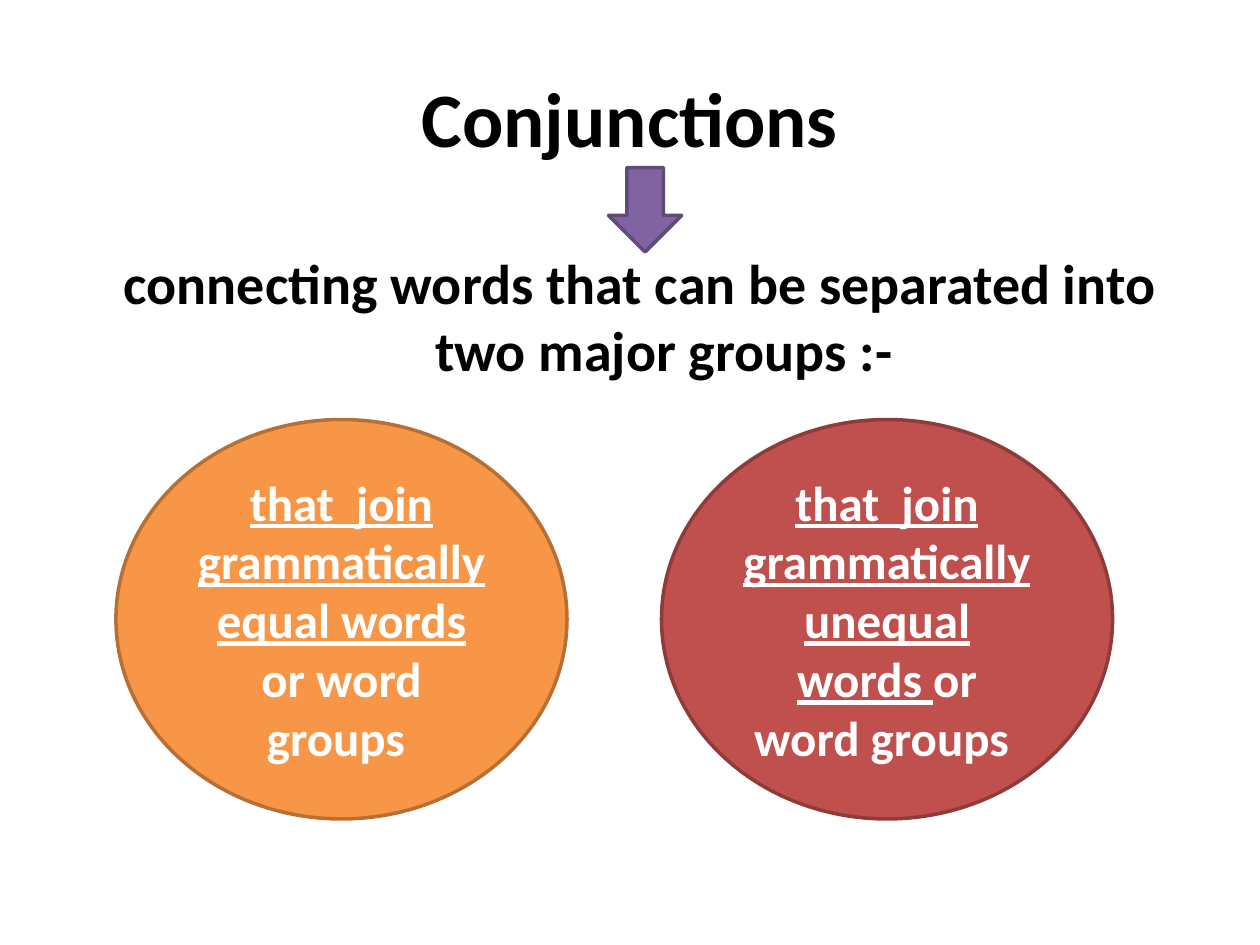
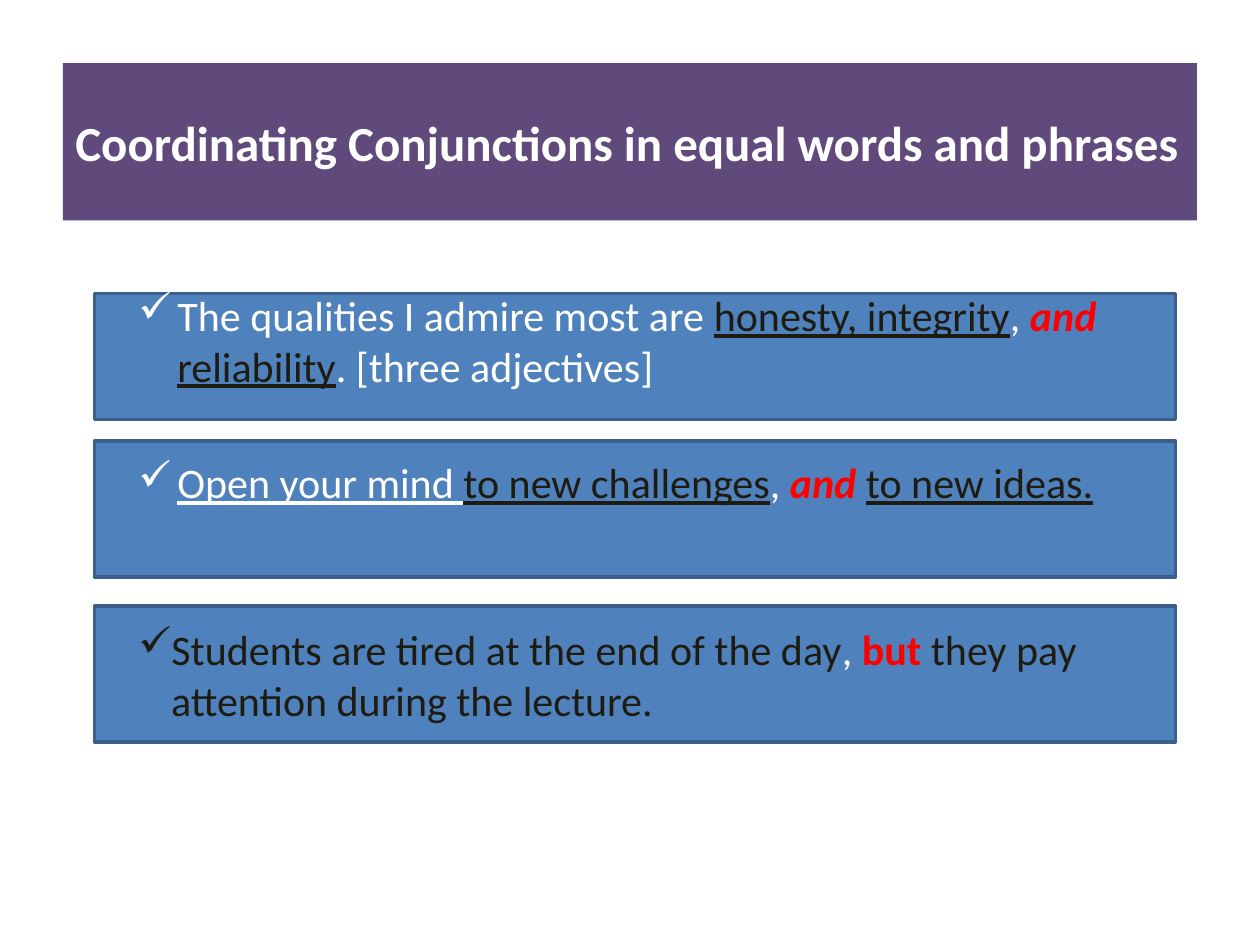
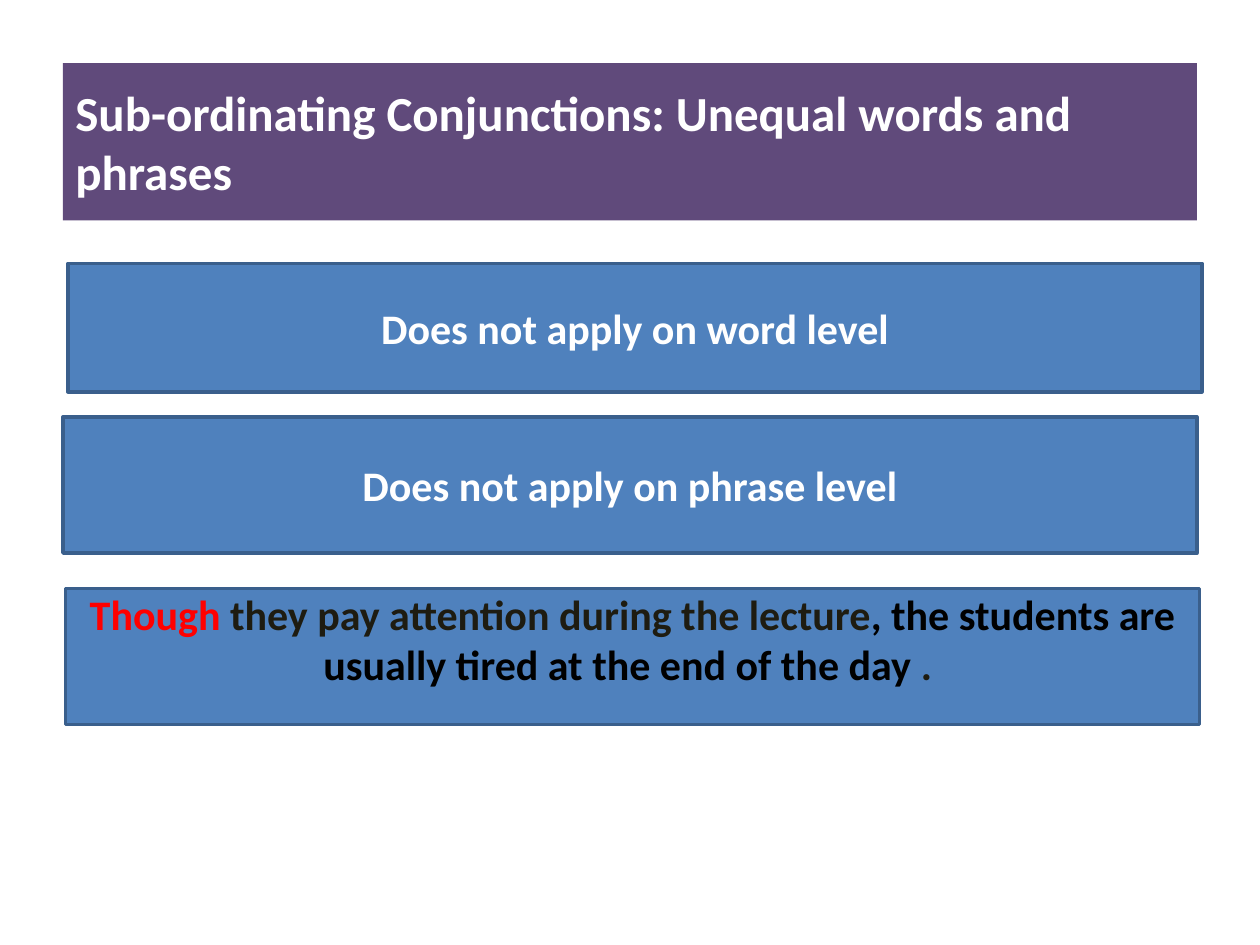
from dataclasses import dataclass

from lxml import etree
from pptx import Presentation
from pptx.dml.color import RGBColor
from pptx.enum.shapes import MSO_SHAPE
from pptx.enum.text import MSO_ANCHOR, PP_ALIGN
from pptx.oxml.ns import qn
from pptx.util import Emu, Pt

RECTANGLE, OVAL, DOWN_ARROW = MSO_SHAPE.RECTANGLE, MSO_SHAPE.OVAL, MSO_SHAPE.DOWN_ARROW
LEFT, CENTER = PP_ALIGN.LEFT, PP_ALIGN.CENTER
TOP, MIDDLE = MSO_ANCHOR.TOP, MSO_ANCHOR.MIDDLE

EMU_PER_PX = 9144
FONT = "Calibri"
WHITE, BLACK, RED, DARK = "FFFFFF", "000000", "FF0000", "1E1C11"
BANNER, BLUE, BLUE_EDGE = "604A7B", "4F81BD", "3A5F8C"
CHECK = "✓"


@dataclass(frozen=True)
class Area:
    left: int
    top: int
    width: int
    height: int


@dataclass(frozen=True)
class Span:
    text: str
    color: str = WHITE
    bold: bool = False
    italic: bool = False
    underline: bool = False


@dataclass(frozen=True)
class Para:
    spans: tuple[Span, ...]
    size: int
    align: PP_ALIGN = LEFT
    margin: int = 0
    indent: int = 0
    bullet: str = ""
    space_before: int = 0


@dataclass(frozen=True)
class Panel:
    area: Area
    fill: str = BLUE
    edge: str = BLUE_EDGE
    kind: MSO_SHAPE = RECTANGLE
    paras: tuple[Para, ...] = ()
    anchor: MSO_ANCHOR = MIDDLE
    inset_top: int = 5


def px(length: int) -> Emu:
    return Emu(length * EMU_PER_PX)


def place(area: Area) -> tuple[Emu, ...]:
    return px(area.left), px(area.top), px(area.width), px(area.height)


def rgb(color: str) -> RGBColor:
    return RGBColor.from_string(color)


def write(frame, paras: tuple[Para, ...], anchor: MSO_ANCHOR) -> None:
    frame.word_wrap = True
    frame.vertical_anchor = anchor
    for index, para in enumerate(paras):
        paragraph = frame.add_paragraph() if index else frame.paragraphs[0]
        paragraph.alignment = para.align
        paragraph.space_before = Pt(para.space_before)
        properties = paragraph._p.get_or_add_pPr()
        properties.set("marL", str(px(para.margin)))
        properties.set("indent", str(px(para.indent)))
        if para.bullet:
            etree.SubElement(properties, qn("a:buChar"), char=para.bullet)
        for span in para.spans:
            run = paragraph.add_run()
            run.text = span.text
            run.font.name = FONT
            run.font.size = Pt(para.size)
            run.font.color.rgb = rgb(span.color)
            run.font.bold = span.bold
            run.font.italic = span.italic
            run.font.underline = span.underline


def draw_panel(page, panel: Panel) -> None:
    shape = page.shapes.add_shape(panel.kind, *place(panel.area))
    shape.shadow.inherit = False
    shape.fill.solid()
    shape.fill.fore_color.rgb = rgb(panel.fill)
    if panel.edge:
        shape.line.color.rgb = rgb(panel.edge)
        shape.line.width = Pt(2)
    else:
        shape.line.fill.background()
    shape.text_frame.margin_top = px(panel.inset_top)
    write(shape.text_frame, panel.paras, panel.anchor)


def draw_text(page, area: Area, paras: tuple[Para, ...], anchor: MSO_ANCHOR = TOP) -> None:
    box = page.shapes.add_textbox(*place(area))
    write(box.text_frame, paras, anchor)


def draw_banner(page, title: str) -> None:
    heading = Para((Span(title, bold=True),), 28)
    draw_panel(page, Panel(Area(50, 50, 900, 125), BANNER, "", paras=(heading,)))


def draw_overview(page) -> None:
    title = Para((Span("Conjunctions", BLACK, bold=True),), 44, CENTER)
    draw_text(page, Area(50, 30, 900, 125), (title,), MIDDLE)
    definition = Span("connecting words that can be separated into two major groups :-", BLACK, bold=True)
    draw_text(page, Area(58, 192, 900, 495), (Para((definition,), 32, CENTER, 38, -38),))
    groups = (("equal", 92, "F79646", "B76F34"), ("unequal", 525, "C0504D", "8E3B39"))
    for relation, left, fill, edge in groups:
        spans = (
            Span(f"that  join grammatically {relation} words ", bold=True, underline=True),
            Span("or word groups ", bold=True),
        )
        draw_panel(page, Panel(Area(left, 333, 358, 317), fill, edge, OVAL, (Para(spans, 28, CENTER),)))
    draw_panel(page, Panel(Area(483, 133, 58, 67), "8064A2", "5F4A78", DOWN_ARROW))


def draw_coordinating(page) -> None:
    draw_banner(page, "Coordinating Conjunctions in equal words and phrases")
    for top, height in ((233, 100), (350, 108)):
        draw_panel(page, Panel(Area(75, top, 858, height)))
    joiner = Span("and ", RED, bold=True, italic=True)
    qualities = (
        Span("The qualities I admire most are "),
        Span("honesty, integrity", DARK, underline=True),
        Span(", "),
        joiner,
        Span("reliability", DARK, underline=True),
        Span(". [three adjectives]"),
    )
    challenges = (
        Span("Open your mind ", underline=True),
        Span("to new challenges", DARK, underline=True),
        Span(", "),
        joiner,
        Span("to new ideas.", DARK, underline=True),
    )
    examples = (
        Para(qualities, 24, LEFT, 81, -31, CHECK),
        Para(challenges, 24, LEFT, 81, -31, CHECK, 38),
    )
    draw_text(page, Area(50, 225, 866, 400), examples)
    students = (
        Span("Students are tired at the end of the day", DARK),
        Span(", "),
        Span("but ", RED, bold=True),
        Span("they pay attention during the lecture.", DARK),
    )
    clause = Para(students, 24, LEFT, 51, -26, CHECK)
    draw_panel(page, Panel(Area(75, 481, 858, 108), paras=(clause,)))


def draw_subordinating(page) -> None:
    draw_banner(page, "Sub-ordinating Conjunctions: Unequal words and phrases")
    levels = (("word", Area(54, 209, 900, 102)), ("phrase", Area(50, 331, 900, 108)))
    for level, area in levels:
        statement = Span(f"Does not apply on {level} level", bold=True)
        draw_panel(page, Panel(area, paras=(Para((statement,), 24, CENTER),)))
    sentence = (
        Span("Though", RED, bold=True),
        Span(" they pay attention during the lecture", DARK, bold=True),
        Span(", the students are usually tired at the end of the day ", BLACK, bold=True),
        Span(". ", DARK, bold=True),
    )
    example = Para(sentence, 24, CENTER)
    draw_panel(page, Panel(Area(52, 467, 900, 108), paras=(example,), anchor=TOP, inset_top=0))


def main() -> None:
    deck = Presentation()
    deck.slide_width, deck.slide_height = px(1000), px(750)
    blank = deck.slide_layouts[6]
    for draw in (draw_overview, draw_coordinating, draw_subordinating):
        draw(deck.slides.add_slide(blank))
    deck.save("out.pptx")


if __name__ == "__main__":
    main()
